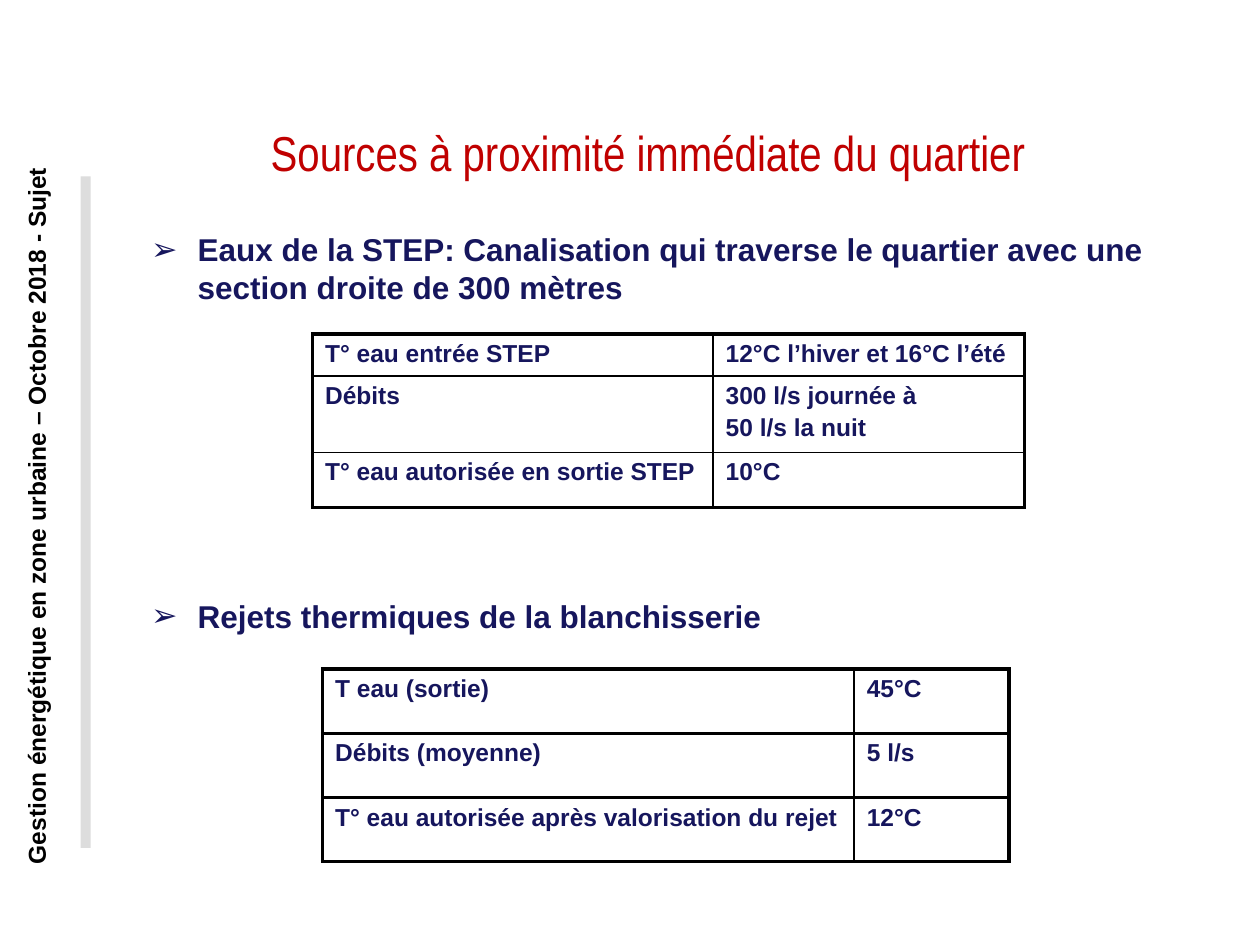
"""Build the slide on heat sources close to the district."""
from lxml import etree
from pptx import Presentation
from pptx.dml.color import RGBColor
from pptx.enum import shapes, text
from pptx.oxml import ns
from pptx.util import Inches, Pt

NAVY = RGBColor(0x16, 0x16, 0x5D)
RED = RGBColor(0xC0, 0x00, 0x00)
BLACK = RGBColor(0x00, 0x00, 0x00)
GREY = RGBColor(0xDD, 0xDD, 0xDD)
THICK, THIN = 2.21, 0.96

SIDE = "Gestion énergétique en zone urbaine – Octobre 2018 - Sujet"
TITLE = "Sources à proximité immédiate du quartier"
POINTS = [
    ("Eaux de la STEP: Canalisation qui traverse le quartier avec une "
     "section droite de 300 mètres", (1.09, 1.78, 8.71, 0.87)),
    ("Rejets thermiques de la blanchisserie", (1.09, 4.69, 8.71, 0.63)),
]
TABLES = [
    {"at": (2.48, 2.65), "cols": (3.18, 2.47), "rows": (0.32, 0.6, 0.44),
     "inner": THIN,
     "cells": [("T° eau entrée STEP", "12°C l’hiver et 16°C l’été"),
               ("Débits", "300 l/s journée à\n50 l/s la nuit"),
               ("T° eau autorisée en sortie STEP", "10°C")]},
    {"at": (2.56, 5.31), "cols": (4.22, 1.23), "rows": (0.51, 0.51, 0.51),
     "inner": THICK,
     "cells": [("T eau (sortie)", "45°C"),
               ("Débits (moyenne)", "5 l/s"),
               ("T° eau autorisée après valorisation du rejet", "12°C")]},
]


def write(frame, words, size=14, font="Arial", color=NAVY, bold=True,
          align=text.PP_ALIGN.LEFT, before=0, bullet=None):
    frame.word_wrap = True
    for i, line in enumerate(words.split("\n")):
        para = frame.add_paragraph() if i else frame.paragraphs[0]
        para.alignment = align
        para.space_before = Pt(before)
        run = para.add_run()
        run.text = line
        run.font.size, run.font.name = Pt(size), font
        run.font.bold, run.font.color.rgb = bold, color
        if bullet:
            props = para._p.get_or_add_pPr()
            props.set("marL", str(Inches(0.38)))
            props.set("indent", str(Inches(-0.37)))
            tint = etree.SubElement(props, ns.qn("a:buClr"))
            etree.SubElement(tint, ns.qn("a:srgbClr"), val=str(color))
            etree.SubElement(props, ns.qn("a:buFont"), typeface="Arial")
            etree.SubElement(props, ns.qn("a:buChar"), char=bullet)


def add_text(slide, words, at, **form):
    box = slide.shapes.add_textbox(*map(Inches, at))
    write(box.text_frame, words, **form)
    return box


def edge(cell, **widths):
    props = cell._tc.get_or_add_tcPr()
    for i, (side, width) in enumerate(widths.items()):
        line = etree.Element(ns.qn("a:ln" + side), w=str(Pt(width)))
        fill = etree.SubElement(line, ns.qn("a:solidFill"))
        etree.SubElement(fill, ns.qn("a:srgbClr"), val=str(BLACK))
        props.insert(i, line)


def add_grid(slide, at, cols, rows, inner, cells):
    size = sum(cols), sum(rows)
    grid = slide.shapes.add_table(
        len(rows), len(cols), *map(Inches, at + size)).table
    grid.first_row = grid.horz_banding = False
    for col, width in zip(grid.columns, cols):
        col.width = Inches(width)
    for row, height in zip(grid.rows, rows):
        row.height = Inches(height)
    for r, line in enumerate(cells):
        for c, words in enumerate(line):
            cell = grid.cell(r, c)
            cell.fill.background()
            write(cell.text_frame, words, before=2.8)
            edge(cell, L=THIN if c else THICK,
                 R=THICK if c == len(cols) - 1 else THIN,
                 T=inner if r else THICK,
                 B=THICK if r == len(rows) - 1 else inner)


def main():
    deck = Presentation()
    deck.slide_width, deck.slide_height = Inches(10), Inches(7.5)
    slide = deck.slides.add_slide(deck.slide_layouts[6])
    mid = text.PP_ALIGN.CENTER
    side = add_text(slide, SIDE, (-2.74, 3.93, 6.05, 0.33),
                    color=BLACK, align=mid, before=7)
    side.rotation = 270
    bar = slide.shapes.add_shape(shapes.MSO_SHAPE.RECTANGLE,
                                 *map(Inches, (0.64, 1.4, 0.08, 5.33)))
    bar.shadow.inherit = False
    bar.fill.solid()
    bar.fill.fore_color.rgb = GREY
    bar.line.fill.background()
    add_text(slide, TITLE, (0.64, 0.92, 9, 0.79), size=28,
             font="Arial Narrow", color=RED, bold=False, align=mid)
    for words, at in POINTS:
        add_text(slide, words, at, size=18, before=3.6, bullet="➢")
    for table in TABLES:
        add_grid(slide, **table)
    deck.save("out.pptx")


if __name__ == "__main__":
    main()
